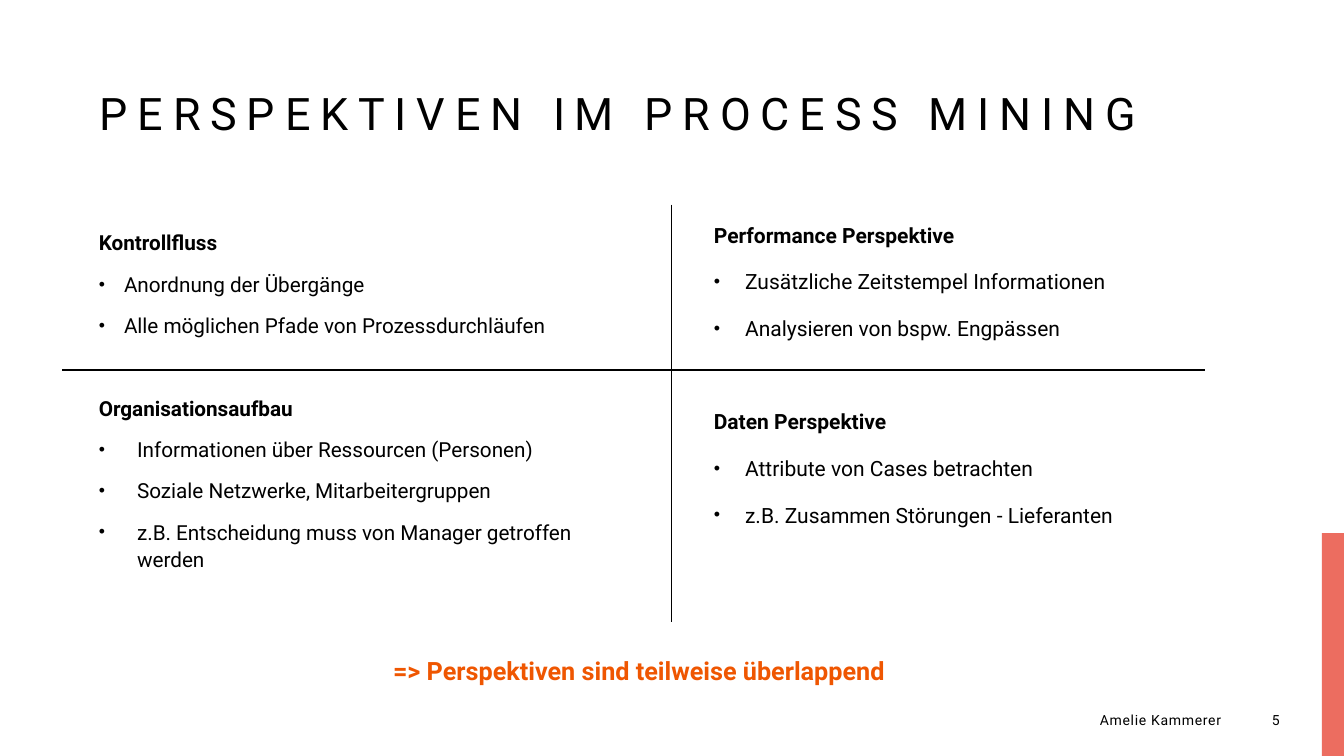
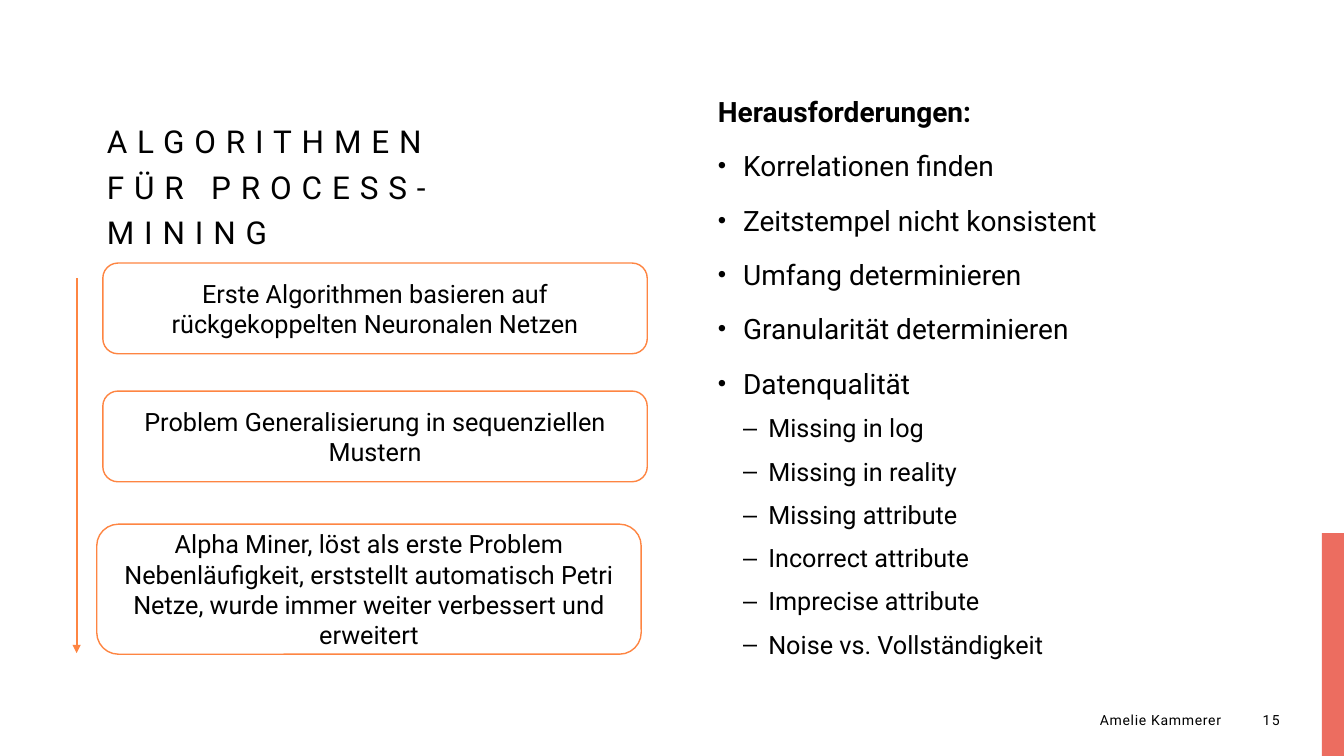
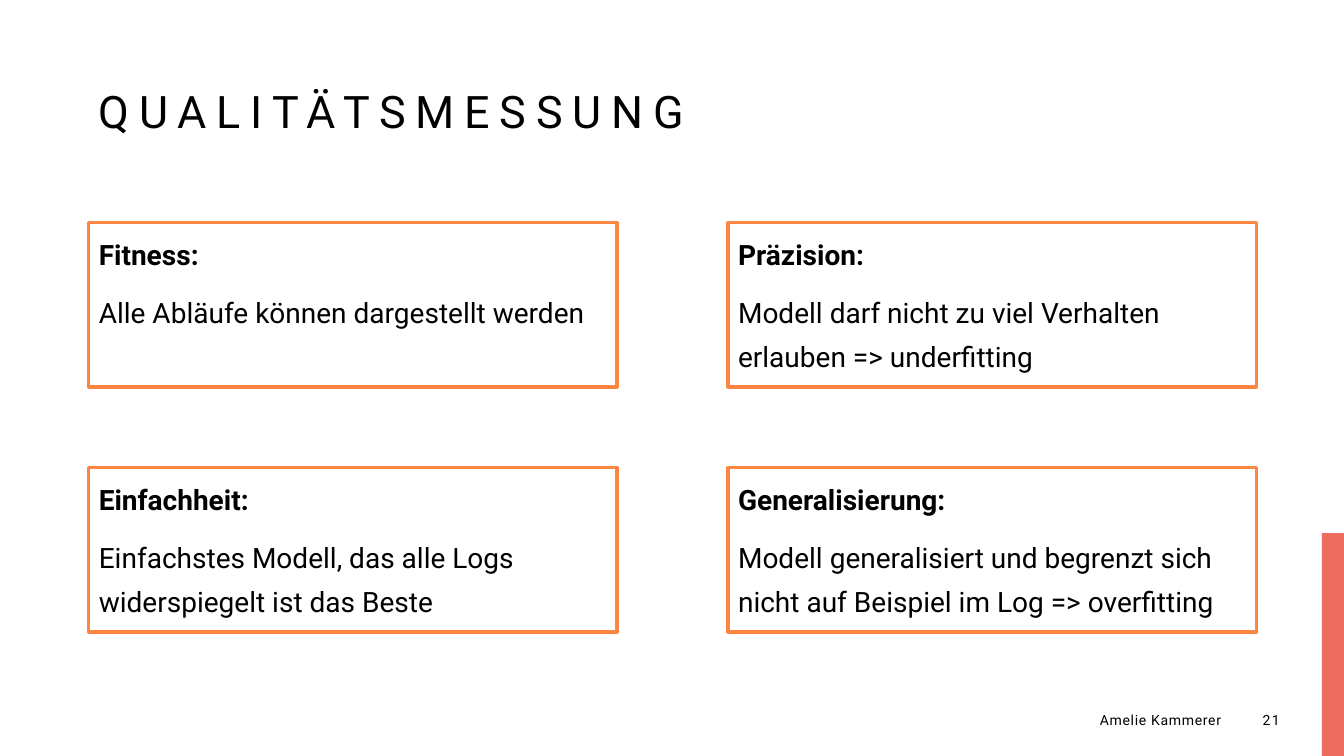
from dataclasses import dataclass
from itertools import product

from lxml.etree import SubElement
from pptx import Presentation
from pptx.dml.color import RGBColor
from pptx.enum.shapes import MSO_CONNECTOR, MSO_SHAPE
from pptx.enum.text import MSO_ANCHOR, MSO_AUTO_SIZE, PP_ALIGN
from pptx.oxml.ns import qn
from pptx.util import Inches, Pt


@dataclass(frozen=True)
class Theme:
    font: str = "Roboto"
    text: RGBColor = RGBColor.from_string("000000")
    background: RGBColor = RGBColor.from_string("FFFFFF")
    band: RGBColor = RGBColor.from_string("EC6D60")
    outline: RGBColor = RGBColor.from_string("FE8542")
    callout: RGBColor = RGBColor.from_string("EF5601")
    title_size: float = 32
    narrow_title_size: float = 22.5
    large_size: float = 20
    medium_size: float = 18
    small_size: float = 15
    compact_size: float = 14.8
    footer_size: float = 10
    title_tracking: float = 7
    thin_line: float = 1
    arrow_line: float = 1.5
    frame_line: float = 2.25


@dataclass(frozen=True)
class Box:
    left: float
    top: float
    width: float
    height: float

    @property
    def right(self):
        return self.left + self.width

    @property
    def bottom(self):
        return self.top + self.height

    def inside(self, left, top, width, height):
        return Box(self.left + left, self.top + top, width, height)

    def lengths(self):
        return [Inches(value) for value in (self.left, self.top, self.width, self.height)]


@dataclass(frozen=True)
class Entry:
    text: str
    size: float
    bold: bool = False
    bullet: str = ""
    indent: float = 0
    level: int = 0
    line_spacing: float = 1.2
    space_before: float = 10


THEME = Theme()
PAGE = Box(0, 0, 13.33, 7.5)
AUTHOR = "Amelie Kammerer"
TITLE_AND_CONTENT, TWO_CONTENT, COMPARISON = 1, 3, 4


def place(shape, box):
    shape.left, shape.top, shape.width, shape.height = box.lengths()


def format_runs(paragraph, size, bold=False, color=THEME.text, tracking=0):
    for run in paragraph.runs:
        run.font.name = THEME.font
        run.font.size = Pt(size)
        run.font.bold = bold
        run.font.color.rgb = color
        if tracking:
            run.font._element.set("spc", str(int(tracking * 100)))


def prepare_frame(shape, anchor=MSO_ANCHOR.TOP):
    frame = shape.text_frame
    frame.word_wrap = True
    frame.auto_size = MSO_AUTO_SIZE.NONE
    frame.vertical_anchor = anchor
    return frame


def set_bullet(paragraph, entry):
    properties = paragraph._p.get_or_add_pPr()
    hanging = Inches(entry.indent)
    properties.set("marL", str(hanging * (entry.level + 1)))
    properties.set("indent", str(-hanging))
    if not entry.bullet:
        SubElement(properties, qn("a:buNone"))
        return
    if entry.level == 0:
        SubElement(properties, qn("a:buSzPct")).set("val", "85000")
    SubElement(properties, qn("a:buChar")).set("char", entry.bullet)


def write_entries(shape, entries):
    frame = prepare_frame(shape)
    frame.text = "\n".join(entry.text for entry in entries)
    for paragraph, entry in zip(frame.paragraphs, entries):
        paragraph.level = entry.level
        paragraph.alignment = PP_ALIGN.LEFT
        paragraph.line_spacing = entry.line_spacing
        paragraph.space_before = Pt(entry.space_before)
        paragraph.space_after = Pt(0)
        set_bullet(paragraph, entry)
        format_runs(paragraph, entry.size, entry.bold)


def add_label(slide, box, text, size, bold=False, color=THEME.text, tracking=0):
    label = slide.shapes.add_textbox(*box.lengths())
    paragraph = prepare_frame(label).paragraphs[0]
    paragraph.text = text
    format_runs(paragraph, size, bold, color, tracking)
    return label


def add_line(slide, start, end, color, width, arrow=False):
    points = [Inches(value) for value in (*start, *end)]
    connector = slide.shapes.add_connector(MSO_CONNECTOR.STRAIGHT, *points)
    connector.line.color.rgb = color
    connector.line.width = Pt(width)
    properties = connector._element.spPr
    if arrow:
        SubElement(properties.find(qn("a:ln")), qn("a:tailEnd")).set("type", "triangle")
    SubElement(properties, qn("a:effectLst"))


def add_band(slide, box):
    band = slide.shapes.add_shape(MSO_SHAPE.RECTANGLE, *box.lengths())
    band.shadow.inherit = False
    band.fill.solid()
    band.fill.fore_color.rgb = THEME.band
    band.line.fill.background()


def add_footer(slide, box, number):
    number_width = 0.58
    author_width = box.width - number_width
    parts = (
        (box.inside(0, 0, author_width, box.height), AUTHOR, 0.5),
        (box.inside(author_width, 0, number_width, box.height), str(number), 1),
    )
    for part, text, tracking in parts:
        label = add_label(slide, part, text, THEME.footer_size, tracking=tracking)
        label.text_frame.vertical_anchor = MSO_ANCHOR.MIDDLE
        paragraph = label.text_frame.paragraphs[0]
        paragraph.alignment = PP_ALIGN.RIGHT
        paragraph.space_after = Pt(6)


def start_slide(presentation, layout, title, title_box, number, title_size=THEME.title_size):
    slide = presentation.slides.add_slide(presentation.slide_layouts[layout])
    slide.background.fill.solid()
    slide.background.fill.fore_color.rgb = THEME.background
    add_band(slide, PAGE.inside(13.11, 5.29, 0.22, 2.21))
    place(slide.shapes.title, title_box)
    frame = prepare_frame(slide.shapes.title, MSO_ANCHOR.BOTTOM)
    frame.text = title
    paragraph = frame.paragraphs[0]
    paragraph.alignment = PP_ALIGN.LEFT
    paragraph.line_spacing = 1.2
    format_runs(paragraph, title_size, tracking=THEME.title_tracking)
    add_footer(slide, PAGE.inside(8.42, 6.94, 4.37, 0.4), number)
    return slide


def topic_entries(topics, size, line_spacing, topic_gap):
    entries = []
    for heading, indent, points in topics:
        space_before = topic_gap if entries else 10
        entries.append(Entry(heading, size, bold=True, line_spacing=line_spacing, space_before=space_before))
        entries += [
            Entry(point, size, bullet="•", indent=indent, line_spacing=line_spacing)
            for point in points
        ]
    return entries


def add_quadrants(slide, box):
    left_topics = (
        ("Kontrollfluss", 0.25, (
            "Anordnung der Übergänge",
            "Alle möglichen Pfade von Prozessdurchläufen",
        )),
        ("Organisationsaufbau", 0.38, (
            "Informationen über Ressourcen (Personen)",
            "Soziale Netzwerke, Mitarbeitergruppen",
            "z.B. Entscheidung muss von Manager getroffen werden",
        )),
    )
    right_topics = (
        ("Performance Perspektive", 0.31, (
            "Zusätzliche Zeitstempel Informationen",
            "Analysieren von bspw. Engpässen",
        )),
        ("Daten Perspektive", 0.31, (
            "Attribute von Cases betrachten",
            "z.B. Zusammen Störungen - Lieferanten",
        )),
    )
    left_list, right_list = slide.placeholders[1], slide.placeholders[2]
    place(left_list, box.inside(0.26, 0.18, 5.3, 3.76))
    place(right_list, box.inside(6.36, 0.05, 4.68, 3.78))
    write_entries(left_list, topic_entries(left_topics, THEME.compact_size, 1.1, 39.5))
    write_entries(right_list, topic_entries(right_topics, THEME.small_size, 1.3, 43))
    middle, divider = box.left + 6.04, box.top + 1.64
    add_line(slide, (middle, box.top), (middle, box.bottom), THEME.text, THEME.thin_line)
    add_line(slide, (box.left, divider), (box.right, divider), THEME.text, THEME.thin_line)


def perspectives_slide(presentation):
    slide = start_slide(
        presentation, TWO_CONTENT, "PERSPEKTIVEN IM PROCESS MINING",
        PAGE.inside(0.89, 0.66, 11.33, 0.77), 5,
    )
    add_quadrants(slide, PAGE.inside(0.62, 2.03, 11.33, 4.14))
    add_label(
        slide, PAGE.inside(3.8, 6.45, 5.74, 0.4), "=> Perspektiven sind teilweise überlappend",
        THEME.medium_size, bold=True, color=THEME.callout,
    )


def add_timeline(slide, box):
    steps = (
        (0.26, 0, 0.9, "Erste Algorithmen basieren auf rückgekoppelten Neuronalen Netzen"),
        (0.26, 1.27, 0.9, "Problem Generalisierung in sequenziellen Mustern"),
        (0.2, 2.59, 1.29, "Alpha Miner, löst als erste Problem Nebenläufigkeit, erststellt automatisch "
                          "Petri Netze, wurde immer weiter verbessert und erweitert"),
    )
    for left, top, height, text in steps:
        step_box = box.inside(left, top, 5.4, height)
        step = slide.shapes.add_shape(MSO_SHAPE.ROUNDED_RECTANGLE, *step_box.lengths())
        step.shadow.inherit = False
        step.fill.solid()
        step.fill.fore_color.rgb = THEME.background
        step.line.color.rgb = THEME.outline
        step.line.width = Pt(THEME.thin_line)
        paragraph = prepare_frame(step, MSO_ANCHOR.MIDDLE).paragraphs[0]
        paragraph.text = text
        paragraph.alignment = PP_ALIGN.CENTER
        format_runs(paragraph, THEME.medium_size)
    add_line(
        slide, (box.left, box.top + 0.15), (box.left, box.bottom),
        THEME.outline, THEME.arrow_line, arrow=True,
    )


def add_challenges(slide, box):
    challenges = (
        "Korrelationen finden", "Zeitstempel nicht konsistent", "Umfang determinieren",
        "Granularität determinieren", "Datenqualität",
    )
    quality_issues = (
        "Missing in log", "Missing in reality", "Missing attribute",
        "Incorrect attribute", "Imprecise attribute", "Noise vs. Vollständigkeit",
    )
    entries = topic_entries((("Herausforderungen:", 0.25, challenges),), THEME.large_size, 1.2, 10)
    entries += [
        Entry(issue, THEME.medium_size, bullet="–", indent=0.25, level=1, space_before=5)
        for issue in quality_issues
    ]
    place(slide.placeholders[1], box)
    write_entries(slide.placeholders[1], entries)


def algorithms_slide(presentation):
    slide = start_slide(
        presentation, TITLE_AND_CONTENT, "ALGORITHMEN FÜR PROCESS-MINING",
        PAGE.inside(0.96, 0.82, 3.96, 1.72), 15, THEME.narrow_title_size,
    )
    add_timeline(slide, PAGE.inside(0.76, 2.61, 5.66, 3.87))
    add_challenges(slide, PAGE.inside(7.02, 0.82, 5.2, 5.89))


def add_criteria(slide, box):
    criteria = (
        ("Fitness:", "Alle Abläufe können dargestellt werden"),
        ("Präzision:", "Modell darf nicht zu viel Verhalten erlauben => underfitting"),
        ("Einfachheit:", "Einfachstes Modell, das alle Logs widerspiegelt ist das Beste"),
        ("Generalisierung:", "Modell generalisiert und begrenzt sich nicht auf Beispiel im Log => overfitting"),
    )
    width, height = 5.24, 1.63
    tops = (0, box.height - height)
    lefts = (0, box.width - width)
    cells = product(tops, lefts)
    for index, ((top, left), (heading, description)) in enumerate(zip(cells, criteria), 1):
        frame = slide.placeholders[index]
        place(frame, box.inside(left, top, width, height))
        frame.line.color.rgb = THEME.outline
        frame.line.width = Pt(THEME.frame_line)
        write_entries(frame, (
            Entry(heading, THEME.large_size, bold=True, line_spacing=1.3),
            Entry(description, THEME.large_size, line_spacing=1.3),
        ))


def quality_slide(presentation):
    slide = start_slide(
        presentation, COMPARISON, "QUALITÄTSMESSUNG",
        PAGE.inside(0.88, 0.64, 11.33, 0.77), 21,
    )
    add_criteria(slide, PAGE.inside(0.88, 2.21, 11.58, 4.06))


def main():
    presentation = Presentation()
    presentation.slide_width = Inches(PAGE.width)
    presentation.slide_height = Inches(PAGE.height)
    perspectives_slide(presentation)
    algorithms_slide(presentation)
    quality_slide(presentation)
    presentation.save("out.pptx")


if __name__ == "__main__":
    main()
